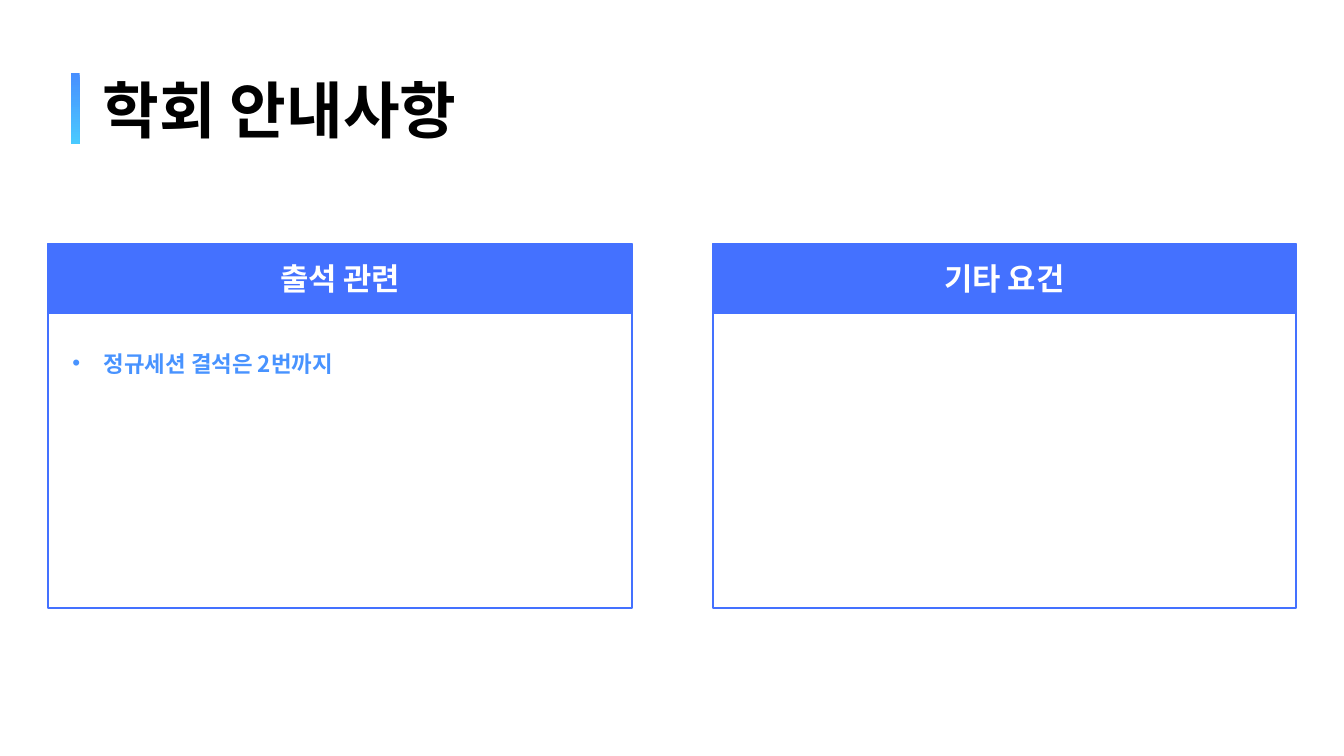
from dataclasses import dataclass

from lxml.etree import SubElement
from pptx import Presentation
from pptx.dml.color import RGBColor
from pptx.enum.shapes import MSO_SHAPE
from pptx.enum.text import MSO_ANCHOR, MSO_AUTO_SIZE, PP_ALIGN
from pptx.oxml.ns import qn
from pptx.util import Pt


@dataclass(frozen=True)
class Theme:
    font: str = "Noto Sans CJK KR"
    title_color: RGBColor = RGBColor(0x00, 0x00, 0x00)
    white: RGBColor = RGBColor(0xFF, 0xFF, 0xFF)
    panel_blue: RGBColor = RGBColor(0x44, 0x71, 0xFF)
    list_blue: RGBColor = RGBColor(0x48, 0x93, 0xFF)
    bar_top: RGBColor = RGBColor(0x48, 0x8F, 0xFF)
    bar_bottom: RGBColor = RGBColor(0x49, 0xCA, 0xFF)
    title_size: float = 44
    header_size: float = 22
    list_size: float = 16


THEME = Theme()


@dataclass(frozen=True)
class Box:
    left: float
    top: float
    width: float
    height: float

    def points(self):
        return Pt(self.left), Pt(self.top), Pt(self.width), Pt(self.height)


def place(shape, box):
    shape.left, shape.top, shape.width, shape.height = box.points()


def add_run(paragraph, text, size, color):
    run = paragraph.add_run()
    run.text = text
    run.font.name = THEME.font
    run.font.size = Pt(size)
    run.font.bold = True
    run.font.color.rgb = color
    SubElement(run.font._element, qn("a:ea"), typeface=THEME.font)


def add_rectangle(shapes, box, fill_color):
    rectangle = shapes.add_shape(MSO_SHAPE.RECTANGLE, *box.points())
    rectangle.shadow.inherit = False
    rectangle.fill.solid()
    rectangle.fill.fore_color.rgb = fill_color
    rectangle.line.color.rgb = THEME.panel_blue
    rectangle.line.width = Pt(1.5)
    return rectangle


def build_title(slide, box, text):
    title = slide.shapes.title
    place(title, box)
    title.text_frame.vertical_anchor = MSO_ANCHOR.MIDDLE
    paragraph = title.text_frame.paragraphs[0]
    paragraph.alignment = PP_ALIGN.LEFT
    paragraph.line_spacing = 0.9
    add_run(paragraph, text, THEME.title_size, THEME.title_color)

    bar_box = Box(box.left - 15.6, box.top + 23, 6.5, 51.1)
    bar = slide.shapes.add_shape(MSO_SHAPE.RECTANGLE, *bar_box.points())
    bar.shadow.inherit = False
    bar.line.fill.background()
    bar.fill.gradient()
    bar.fill.gradient_angle = 270
    for stop, color in zip(bar.fill.gradient_stops, (THEME.bar_top, THEME.bar_bottom)):
        stop.color.rgb = color


def build_panel(slide, box, heading):
    group = slide.shapes.add_group_shape()
    add_rectangle(group.shapes, box, THEME.white)
    header_box = Box(box.left, box.top, box.width, 49.7)
    header = add_rectangle(group.shapes, header_box, THEME.panel_blue)
    header.text_frame.vertical_anchor = MSO_ANCHOR.MIDDLE
    paragraph = header.text_frame.paragraphs[0]
    paragraph.alignment = PP_ALIGN.CENTER
    add_run(paragraph, heading, THEME.header_size, THEME.white)
    return group


def build_list(slide, panel, box, items):
    body = slide.placeholders[1]
    place(body, Box(box.left + 10, box.top + 72, 270.7, 26.6))
    panel.element.addnext(body.element)
    frame = body.text_frame
    frame.word_wrap = True
    frame.auto_size = MSO_AUTO_SIZE.NONE
    for index, item in enumerate(items):
        paragraph = frame.add_paragraph() if index else frame.paragraphs[0]
        paragraph.space_before = Pt(0)
        properties = paragraph._element.get_or_add_pPr()
        properties.set("marL", str(Pt(22.5)))
        properties.set("indent", str(Pt(-22.5)))
        SubElement(properties, qn("a:buFont"), typeface="Arial")
        SubElement(properties, qn("a:buChar"), char="•")
        add_run(paragraph, item, THEME.list_size, THEME.list_blue)


def build_notice_slide(presentation):
    slide = presentation.slides.add_slide(presentation.slide_layouts[1])
    build_title(slide, Box(66, 28.8, 828, 104.4), "학회 안내사항")
    attendance_box, other_box = (
        Box(34.5 + column * 474.5, 174.2, 416.9, 259.9) for column in range(2)
    )
    attendance = build_panel(slide, attendance_box, "출석 관련")
    build_list(slide, attendance, attendance_box, ["정규세션 결석은 2번까지"])
    build_panel(slide, other_box, "기타 요건")


def main():
    presentation = Presentation()
    presentation.slide_width, presentation.slide_height = Pt(960), Pt(540)
    build_notice_slide(presentation)
    presentation.save("out.pptx")


if __name__ == "__main__":
    main()
